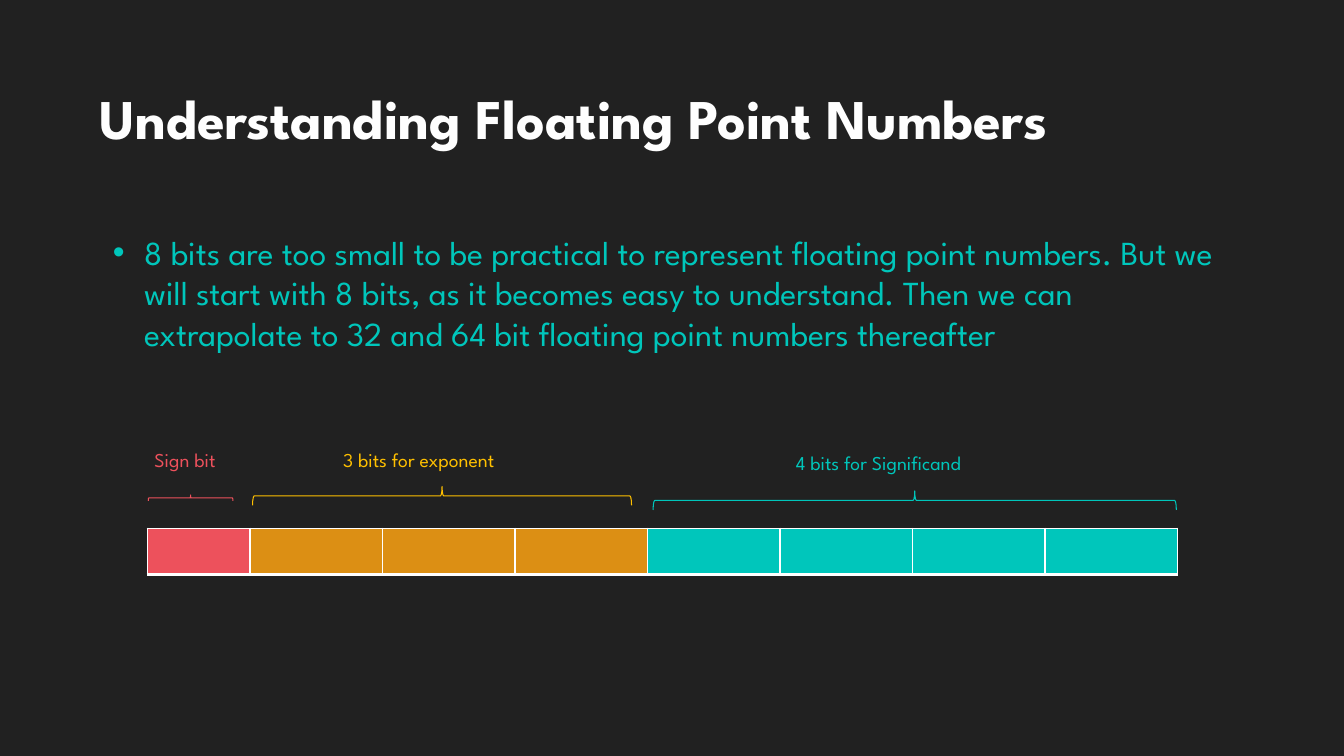
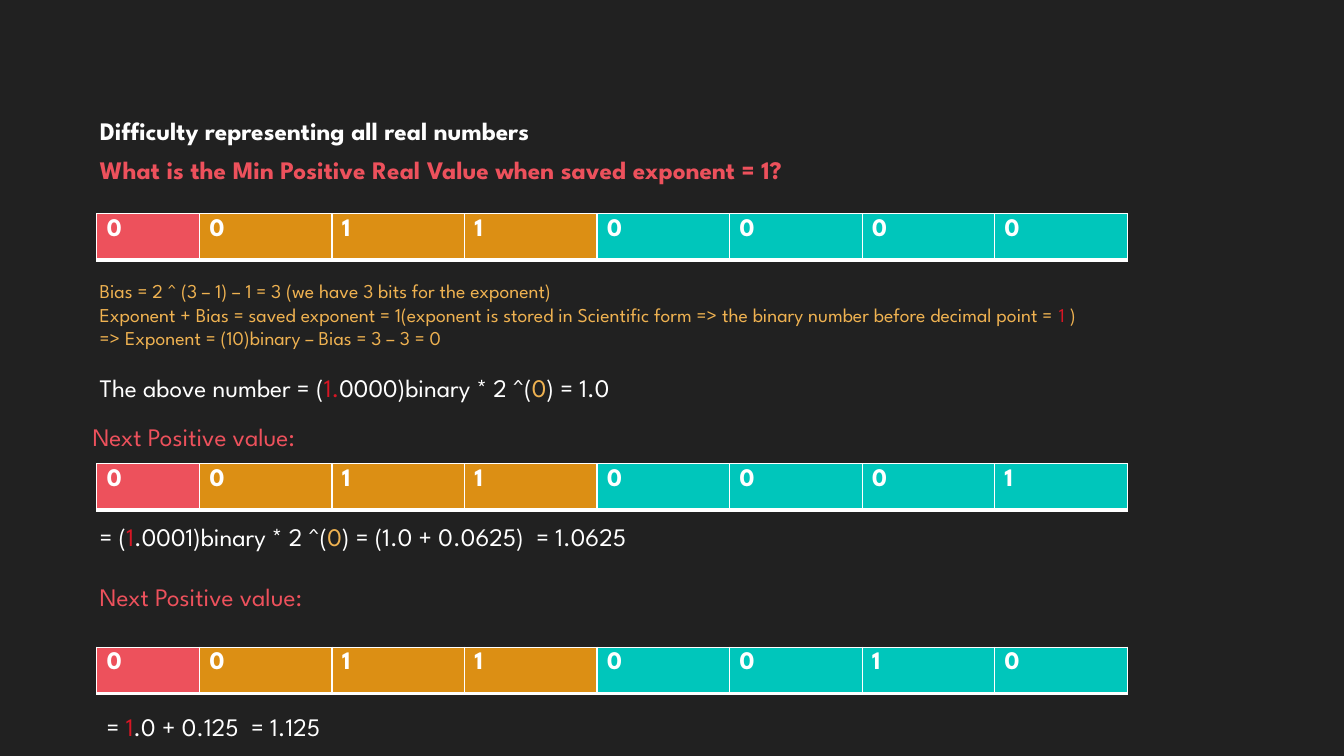
from lxml import etree
from pptx import Presentation, util as u
from pptx.dml.color import RGBColor
from pptx.enum import shapes, text
from pptx.oxml import parse_xml
from pptx.oxml.ns import nsdecls, qn

FONT = "League Spartan"
DARK, WHITE, TITLE = "212121", "FFFFFF", "FEFEFE"
RED, ORANGE, TEAL = "ED515C", "DC8F14", "00C6BB"
YELLOW, SAND, CRIMSON = "FFC000", "EFB251", "D81624"

# Grid of 100 columns by 100 rows
WIDTH, HEIGHT = u.Inches(13.33), u.Inches(7.5)
LEFT, TITLE_W, TITLE_H = 6.68, 86.7, 14.13
BIT_COLOURS = [RED] + [ORANGE] * 3 + [TEAL] * 4
SIGN_W, BIT_W, BIT_H = 7.65, 9.86, 6.13


def col(n):
    return u.Emu(round(n * WIDTH / 100))


def row(n):
    return u.Emu(round(n * HEIGHT / 100))


def box(x, y, w, h):
    return col(x), row(y), col(w), row(h)


def rgb(colour):
    return RGBColor.from_string(colour)


def style(font, size, colour, bold=False):
    font.name, font.size, font.bold = FONT, u.Pt(size), bold
    font.color.rgb = rgb(colour)


def add_text_shadow(r):
    fill = r._r.get_or_add_rPr().find(qn("a:solidFill"))
    fill.addnext(parse_xml(
        f'<a:effectLst {nsdecls("a")}><a:outerShdw blurRad="50800" dist="38100" dir="2700000">'
        '<a:srgbClr val="000000"><a:alpha val="50000"/></a:srgbClr></a:outerShdw></a:effectLst>'))


def format_heading(sp, words, size, colour):
    """Bold, shadowed text that sits at the bottom of its box."""
    tf = sp.text_frame
    tf.text = words
    tf.word_wrap = True
    tf.auto_size = text.MSO_AUTO_SIZE.NONE
    tf.vertical_anchor = text.MSO_ANCHOR.BOTTOM
    p = tf.paragraphs[0]
    p.alignment = text.PP_ALIGN.LEFT
    style(p.runs[0].font, size, colour, bold=True)
    add_text_shadow(p.runs[0])
    return tf


def place(sp, x, y, w, h):
    sp.left, sp.top, sp.width, sp.height = box(x, y, w, h)


def set_title(s, words, size):
    place(s.shapes.title, LEFT, 6.53, TITLE_W, TITLE_H)
    return format_heading(s.shapes.title, words, size, TITLE)


def set_bullet(sp, words):
    place(sp, 7.65, 30, 84.6, 22.93)
    tf = sp.text_frame
    tf.text = words
    tf.auto_size = text.MSO_AUTO_SIZE.NONE
    p = tf.paragraphs[0]
    p.space_before = u.Pt(0)
    pPr = p._p.get_or_add_pPr()
    pPr.set("marL", str(u.Inches(0.31)))
    pPr.set("indent", str(-u.Inches(0.31)))
    etree.SubElement(pPr, qn("a:buChar")).set("char", "•")
    style(p.runs[0].font, 24, TEAL)


def add_text(s, area, lines, size=18, align=text.PP_ALIGN.LEFT, gap=0):
    """Each line is a list of (words, colour) pieces."""
    tf = s.shapes.add_textbox(*box(*area)).text_frame
    tf.word_wrap = True
    for i, pieces in enumerate(lines):
        p = tf.add_paragraph() if i else tf.paragraphs[0]
        p.alignment = align
        if i and gap:
            p.space_before = u.Pt(gap)
        for words, colour in pieces:
            r = p.add_run()
            r.text = words
            style(r.font, size, colour)


def add_borders(cell):
    tcPr = cell._tc.get_or_add_tcPr()
    for i, (side, width) in enumerate({"L": 1, "R": 1, "T": 1, "B": 3}.items()):
        tcPr.insert(i, parse_xml(
            f'<a:ln{side} {nsdecls("a")} w="{u.Pt(width)}"><a:solidFill>'
            f'<a:srgbClr val="{WHITE}"/></a:solidFill></a:ln{side}>'))


def add_bits(s, x, y, bits=""):
    """A one-row table: sign bit, exponent bits, significand bits."""
    widths = [SIGN_W] + [BIT_W] * 7
    table = s.shapes.add_table(1, 8, *box(x, y, sum(widths), BIT_H)).table
    table.first_row = table.horz_banding = False
    for i, (width, colour) in enumerate(zip(widths, BIT_COLOURS)):
        table.columns[i].width = col(width)
        cell = table.cell(0, i)
        cell.fill.solid()
        cell.fill.fore_color.rgb = rgb(colour)
        add_borders(cell)
        if bits:
            cell.text = bits[i]
            style(cell.text_frame.paragraphs[0].runs[0].font, 18, WHITE, bold=True)


def add_brace(s, centre_x, centre_y, length, depth, colour):
    """A left brace turned so that its point looks up."""
    w, h = row(depth), col(length)
    sp = s.shapes.add_shape(shapes.MSO_SHAPE.LEFT_BRACE,
                            col(centre_x) - w // 2, row(centre_y) - h // 2, w, h)
    sp.rotation = 90
    sp.shadow.inherit = False
    sp.fill.solid()
    sp.fill.fore_color.rgb = rgb(DARK)
    sp.line.color.rgb = rgb(colour)
    sp.line.width = u.Pt(0.75)


def build_layout_slide(prs):
    s = prs.slides.add_slide(prs.slide_layouts[1])
    set_title(s, "Understanding Floating Point Numbers", 40)
    set_bullet(s.placeholders[1],
               "8 bits are too small to be practical to represent floating point numbers. "
               "But we will start with 8 bits, as it becomes easy to understand. Then we can "
               "extrapolate to 32 and 64 bit floating point numbers thereafter")
    add_bits(s, 10.95, 69.87)
    # Braces (centre, length, depth) and their labels
    for brace, label, words, colour in [
            ((14.18, 65.87, 6.3, 0.8), (10.2, 58.53, 7.13, 4.53), "Sign bit", RED),
            ((32.89, 65.6, 28.2, 2.53), (21, 58.53, 20.33, 4.53), "3 bits for exponent", YELLOW),
            ((68.06, 66.2, 38.93, 2.53), (35.4, 58.93, 59.93, 4.53),
             "4 bits for Significand", TEAL)]:
        add_brace(s, *brace, colour)
        add_text(s, label, [[(words, colour)]], 14, text.PP_ALIGN.CENTER)


def build_values_slide(prs):
    s = prs.slides.add_slide(prs.slide_layouts[5])
    tf = set_title(s, "Difficulty representing all real numbers", 18)
    tf.margin_bottom = u.Inches(0.11)
    question = s.shapes.add_textbox(*box(LEFT, 10.93, TITLE_W, TITLE_H))
    format_heading(question, "What is the Min Positive Real Value when saved exponent = 1?", 18, RED)

    # Bit patterns
    for y, bits in [(28.27, "00110000"), (61.33, "00110001"), (85.6, "00110010")]:
        add_bits(s, 7.2, y, bits)

    # Calculations
    next_value = [("Next Positive value:", RED)]
    add_text(s, (LEFT, 36.27, 74.93, 13.87), [
        [("Bias = 2 ^ (3 – 1) – 1 = 3 (we have 3 bits for the exponent)", SAND)],
        [("Exponent + Bias = saved exponent = 1(exponent is stored in Scientific form "
          "=> the binary number before decimal point = ", SAND), ("1", CRIMSON), (" )", SAND)],
        [("=> Exponent = (10)binary – Bias = 3 – 3 = 0", SAND)]], 14)
    add_text(s, (LEFT, 48.53, 76.2, 5.33), [
        [("The above number = (", WHITE), ("1.", CRIMSON), ("0000)binary * 2 ^(", WHITE),
         ("0", SAND), (") = 1.0", WHITE)]])
    add_text(s, (6.15, 55.07, 73.73, 9.47), [next_value])
    add_text(s, (LEFT, 68.27, 74.93, 13.47), [
        [("= (", WHITE), ("1", CRIMSON), (".0001)binary * 2 ^(", WHITE), ("0", SAND),
         (") = (1.0 + 0.0625)  = 1.0625", WHITE)],
        next_value], gap=21.6)
    add_text(s, (7.2, 93.47, 61.65, 5.33), [
        [("= ", WHITE), ("1", CRIMSON), (".0 + 0.125  = 1.125", WHITE)]])


def main():
    prs = Presentation()
    prs.slide_width, prs.slide_height = WIDTH, HEIGHT
    background = prs.slide_master.background.fill
    background.solid()
    background.fore_color.rgb = rgb(DARK)
    build_layout_slide(prs)
    build_values_slide(prs)
    prs.save("out.pptx")


if __name__ == "__main__":
    main()
